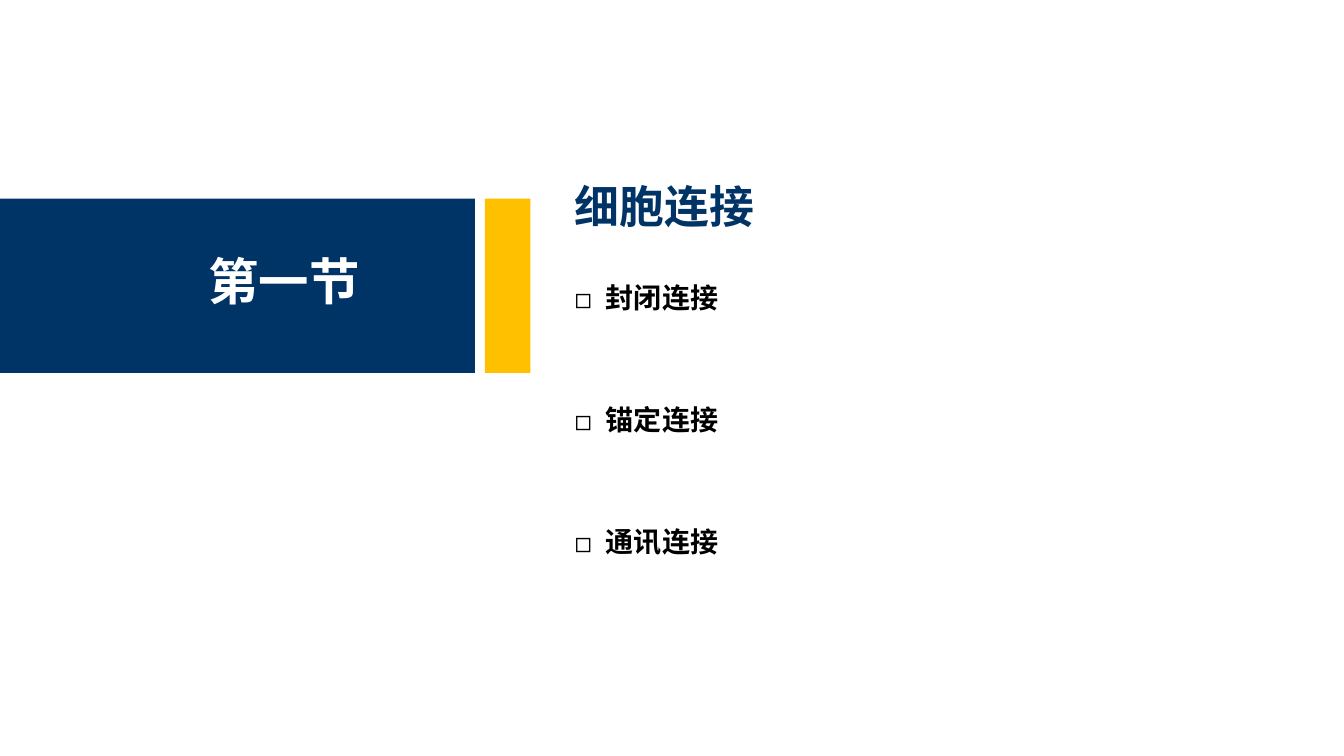
from dataclasses import dataclass

from lxml import etree
from pptx import Presentation
from pptx.dml.color import RGBColor
from pptx.enum.shapes import MSO_SHAPE
from pptx.enum.text import MSO_ANCHOR, MSO_AUTO_SIZE, PP_ALIGN
from pptx.oxml.ns import qn
from pptx.util import Emu, Pt

PX = 9144  # 100 px to the inch
FONT = "Noto Sans CJK SC"
COLORS = {"navy": "003366", "gold": "FFC000", "white": "FFFFFF", "black": "000000"}
RECT = MSO_SHAPE.RECTANGLE
MIDDLE = MSO_ANCHOR.MIDDLE
LEFT = PP_ALIGN.LEFT
NO_FIT = MSO_AUTO_SIZE.NONE


@dataclass
class Box:
    left: int
    top: int
    width: int
    height: int

    def emu(self) -> list[Emu]:
        return [Emu(v * PX) for v in (self.left, self.top, self.width, self.height)]


@dataclass
class Band:
    box: Box
    color: str


@dataclass
class Text:
    box: Box
    lines: list[str]
    size: int
    color: str
    wrap: bool = False
    bullet: str = ""
    indent: int = 0
    gap: float = 0


def rgb(name: str) -> RGBColor:
    return RGBColor.from_string(COLORS[name])


def draw_band(slide, band: Band) -> None:
    s = slide.shapes.add_shape(RECT, *band.box.emu())
    s.shadow.inherit = False
    s.fill.solid()
    s.fill.fore_color.rgb = rgb(band.color)
    s.line.fill.background()


def set_bullet(p, char: str, indent: int) -> None:
    pPr = p._p.get_or_add_pPr()
    pPr.set("marL", str(indent * PX))
    pPr.set("indent", str(-indent * PX))
    if char:
        etree.SubElement(pPr, qn("a:buFont")).set("typeface", FONT)
        etree.SubElement(pPr, qn("a:buChar")).set("char", char)
    else:
        etree.SubElement(pPr, qn("a:buNone"))


def fill_text(sp, text: Text) -> None:
    sp.left, sp.top, sp.width, sp.height = text.box.emu()
    tf = sp.text_frame
    frame_format = {"auto_size": NO_FIT, "word_wrap": text.wrap, "vertical_anchor": MIDDLE}
    for name, value in frame_format.items():
        setattr(tf, name, value)
    font_format = {"name": FONT, "size": Pt(text.size), "bold": True}
    for i, line in enumerate(text.lines):
        p = tf.add_paragraph() if i else tf.paragraphs[0]
        set_bullet(p, text.bullet, text.indent)
        p.alignment = LEFT
        p.space_before = Pt(text.gap if i else 0)
        r = p.add_run()
        r.text = line
        for name, value in font_format.items():
            setattr(r.font, name, value)
        r.font.color.rgb = rgb(text.color)
        ea = etree.Element(qn("a:ea"), typeface=FONT)
        r.font._element.find(qn("a:latin")).addnext(ea)


BANDS = [
    Band(Box(0, 197, 471, 173), "navy"),
    Band(Box(481, 197, 45, 173), "gold"),
]
SECTION = Text(Box(197, 243, 172, 71), ["第一节"], 36, "white")
TITLE = Text(Box(560, 172, 560, 64), ["细胞连接"], 32, "navy", wrap=True)
TOPICS = Text(Box(560, 266, 164, 300), ["封闭连接", "锚定连接", "通讯连接"], 20, "black",
              bullet="◻", indent=31, gap=63.2)


def main() -> None:
    prs = Presentation()
    prs.slide_width, prs.slide_height = Emu(1333 * PX), Emu(750 * PX)
    slide = prs.slides.add_slide(prs.slide_layouts[1])

    # Section bands and label
    for band in BANDS:
        draw_band(slide, band)
    fill_text(slide.shapes.add_textbox(*SECTION.box.emu()), SECTION)

    # Title and topic list
    fill_text(slide.shapes.title, TITLE)
    fill_text(slide.placeholders[1], TOPICS)

    prs.save("out.pptx")


if __name__ == "__main__":
    main()
